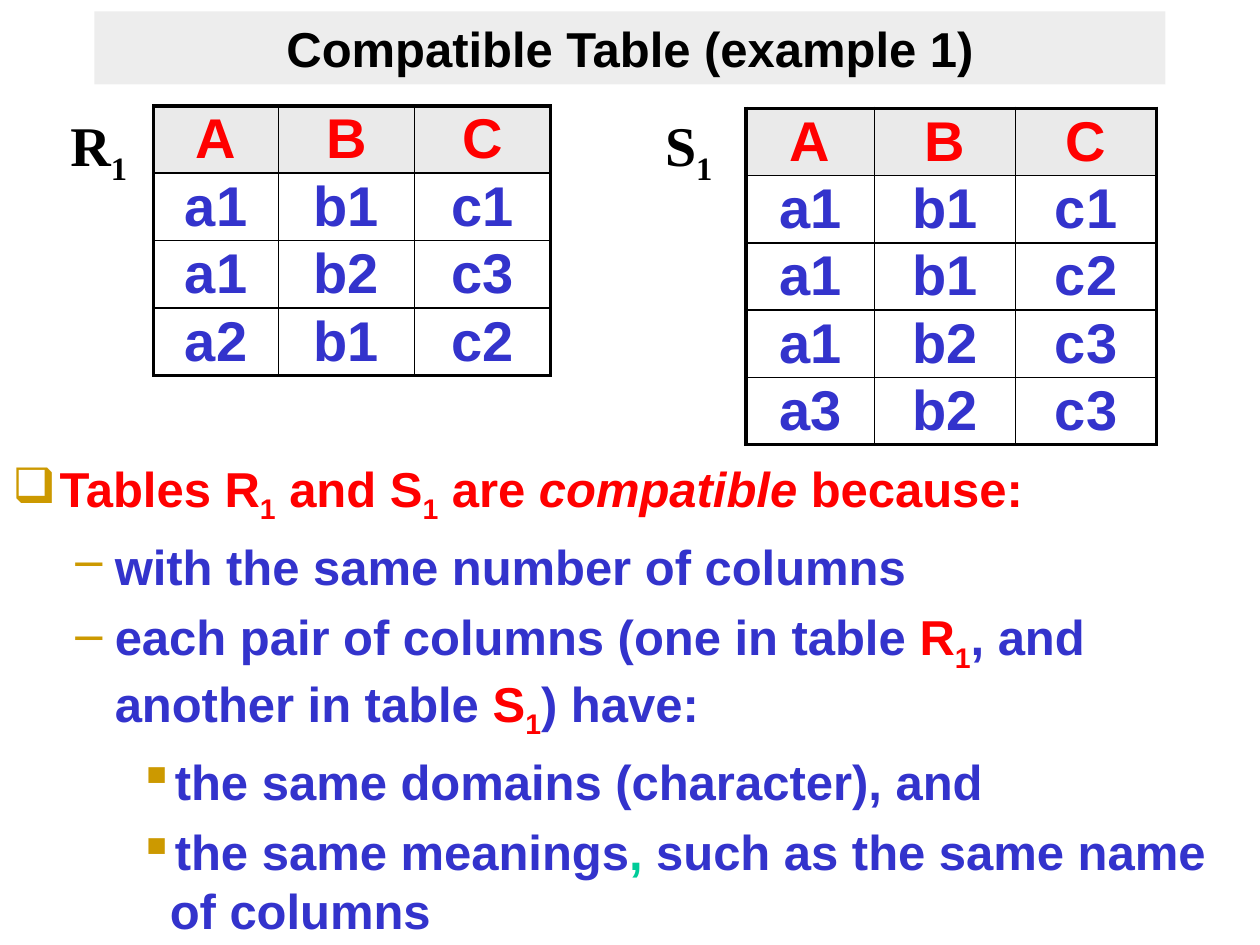
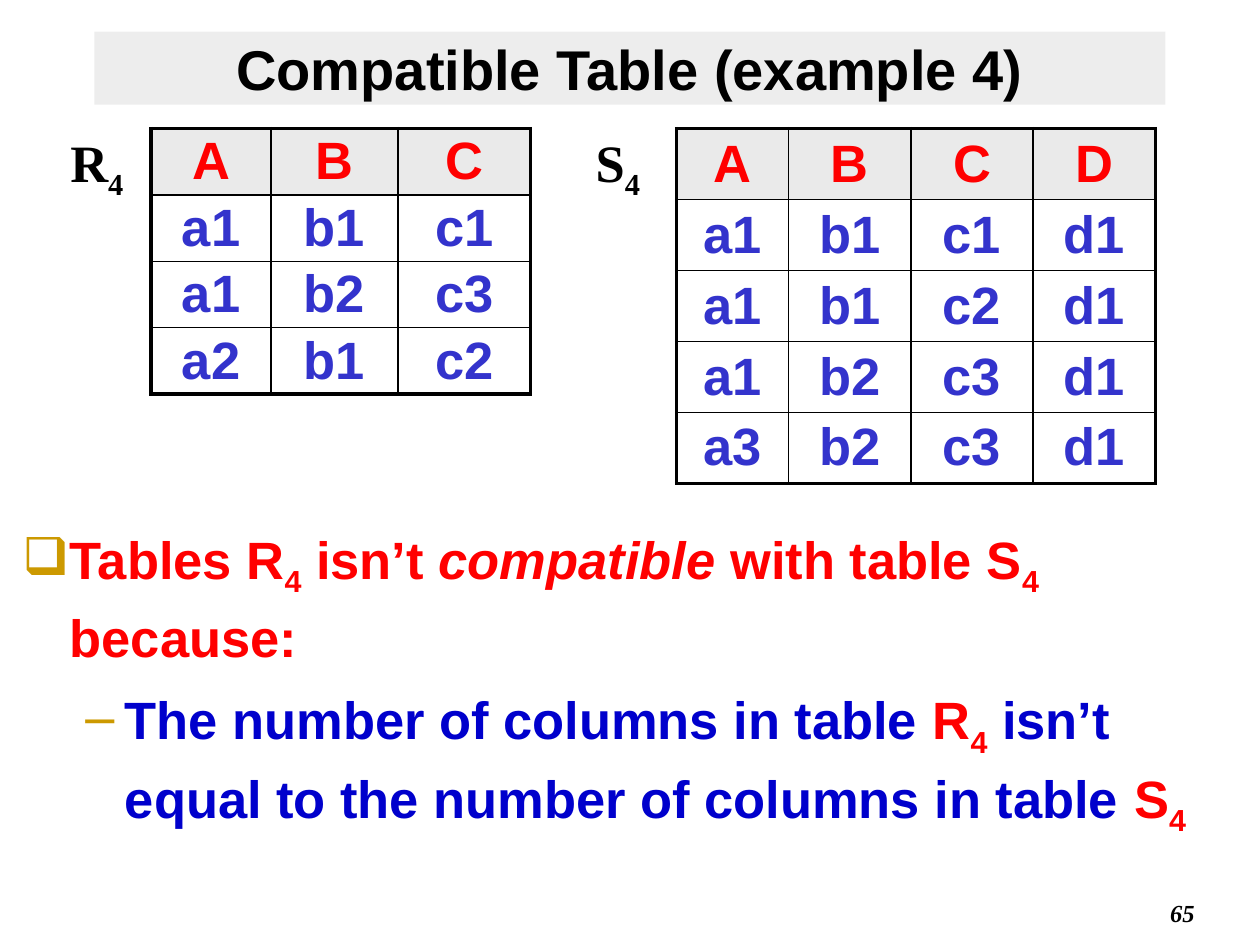
import pptx
import pptx.dml.color
import pptx.enum.shapes
import pptx.enum.text
import pptx.oxml.ns
import pptx.util
from lxml import etree

RGBColor = pptx.dml.color.RGBColor
ALIGN = pptx.enum.text.PP_ALIGN
ANCHOR = pptx.enum.text.MSO_ANCHOR
qn = pptx.oxml.ns.qn

BLACK = RGBColor(0x00, 0x00, 0x00)
WHITE = RGBColor(0xFF, 0xFF, 0xFF)
RED = RGBColor(0xFF, 0x00, 0x00)
BLUE = RGBColor(0x33, 0x33, 0xCC)
DEEP_BLUE = RGBColor(0x00, 0x00, 0xCC)
GREEN = RGBColor(0x00, 0xCC, 0x99)
GOLD = RGBColor(0xCC, 0x99, 0x00)
BAND_GREY = RGBColor(0xDD, 0xDD, 0xDD)
HEADER_GREY = RGBColor(0xEA, 0xEA, 0xEA)

SANS = "Arial"
SERIF = "Times New Roman"

# The page is a grid of 100 columns by 75 rows.
COLUMNS, ROWS = 100, 75
WIDTH, HEIGHT = pptx.util.Inches(10), pptx.util.Inches(7.5)

# Bullet, left margin and hanging indent (in columns) of each outline level.
LEVELS = [("❑", 3.75, 3.75), ("–", 8.13, 3.13), ("▪", 12.5, 2.5)]
SPACE_BEFORE = 0.23
OUTER_LINE, INNER_LINE = 2.25, 1


def x(columns):
    return round(WIDTH * columns / COLUMNS)


def y(rows):
    return round(HEIGHT * rows / ROWS)


def add_xml(parent, tag, **attributes):
    child = etree.SubElement(parent, qn(tag))
    for name, value in attributes.items():
        child.set(name, str(value))
    return child


def write(para, text, size=28, color=BLACK, font=SANS, italic=False, subscript=False):
    """Append one formatted span to a paragraph."""
    span = para.add_run()
    span.text = text
    span.font.size = pptx.util.Pt(size)
    span.font.name = font
    span.font.bold = True
    span.font.italic = italic
    span.font.color.rgb = color
    if subscript:
        span.font._element.set("baseline", "-25000")


def relation(letter, number):
    """Spans of a table's name in red, with its number lowered."""
    return [(letter, {"color": RED}), (number, {"color": RED, "subscript": True})]


def set_bullet(para, level):
    character, margin, hanging = LEVELS[level]
    para.level = level
    properties = para._p.get_or_add_pPr()
    properties.set("marL", str(x(margin)))
    properties.set("indent", str(-x(hanging)))
    add_xml(add_xml(properties, "a:buClr"), "a:srgbClr", val=GOLD)
    add_xml(properties, "a:buChar", char=character)


def set_border(cell, side, width):
    line = add_xml(cell._tc.get_or_add_tcPr(), f"a:ln{side}", w=pptx.util.Pt(width))
    add_xml(add_xml(line, "a:solidFill"), "a:srgbClr", val=BLACK)


class Lesson:
    def __init__(self):
        self.deck = pptx.Presentation()
        self.deck.slide_width, self.deck.slide_height = WIDTH, HEIGHT
        self.page = None

    def new_page(self):
        self.page = self.deck.slides.add_slide(self.deck.slide_layouts[6])

    def rectangle(self, left, top, width, height, color, opacity=100):
        box = self.page.shapes.add_shape(
            pptx.enum.shapes.MSO_SHAPE.RECTANGLE, x(left), y(top), x(width), y(height))
        box.shadow.inherit = False
        box.line.fill.background()
        box.fill.solid()
        box.fill.fore_color.rgb = color
        if opacity < 100:
            tint = box._element.spPr.find(qn("a:solidFill"))[0]
            add_xml(tint, "a:alpha", val=opacity * 1000)
        box.text_frame.word_wrap = True
        return box

    def text_box(self, left, top, width, height):
        box = self.page.shapes.add_textbox(x(left), y(top), x(width), y(height))
        box.text_frame.word_wrap = True
        return box

    def title(self, text, top, size):
        frame = self.rectangle(7.5, top, 85, 5.8, BAND_GREY, opacity=50).text_frame
        frame.vertical_anchor = ANCHOR.MIDDLE
        para = frame.paragraphs[0]
        para.alignment = ALIGN.CENTER
        write(para, text, size)

    def outline(self, box, items, size, color, line_spacing=None):
        """Fill a box with (level, spans) items; color is that of the lower levels."""
        frame = box.text_frame
        frame.vertical_anchor = ANCHOR.TOP
        for index, (level, spans) in enumerate(items):
            para = frame.add_paragraph() if index else frame.paragraphs[0]
            set_bullet(para, level)
            para.alignment = ALIGN.LEFT
            para.space_before = pptx.util.Pt(SPACE_BEFORE * size if index else 0)
            if line_spacing:
                para.line_spacing = line_spacing
            for text, look in spans:
                write(para, text, size, **{"color": color if level else RED, **look})

    def table_name(self, letter, number, left, top, size):
        frame = self.text_box(left, top, 8.3, size / 6).text_frame
        frame.margin_top = frame.margin_bottom = 0
        para = frame.paragraphs[0]
        write(para, letter, size, font=SERIF)
        write(para, number, size, font=SERIF, subscript=True)

    def data_table(self, left, top, widths, row_height, lines, size):
        """Draw a table from one string per row, the header first."""
        records = [line.split() for line in lines]
        last_row, last_column = len(records) - 1, len(widths) - 1
        table = self.page.shapes.add_table(
            len(records), len(widths), x(left), y(top),
            x(sum(widths)), y(row_height * len(records))).table
        table.horz_banding = False
        for column, width in zip(table.columns, widths):
            column.width = x(width)
        for r, record in enumerate(records):
            table.rows[r].height = y(row_height)
            for c, value in enumerate(record):
                cell = table.cell(r, c)
                edges = {"L": c == 0, "R": c == last_column,
                         "T": r == 0, "B": r == last_row}
                for side, outer in edges.items():
                    set_border(cell, side, OUTER_LINE if outer else INNER_LINE)
                cell.fill.solid()
                cell.fill.fore_color.rgb = WHITE if r else HEADER_GREY
                cell.margin_top = cell.margin_bottom = 0
                cell.vertical_anchor = ANCHOR.MIDDLE
                para = cell.text_frame.paragraphs[0]
                para.alignment = ALIGN.CENTER
                write(para, value, size, BLUE if r else RED)

    def page_number(self, number):
        para = self.text_box(75, 70.8, 20.8, 3.3).text_frame.paragraphs[0]
        para.alignment = ALIGN.RIGHT
        write(para, number, 14, font=SERIF, italic=True)


R_LINES = ["A B C", "a1 b1 c1", "a1 b2 c3", "a2 b1 c2"]
S_LINES = ["A B C", "a1 b1 c1", "a1 b1 c2", "a1 b2 c3", "a3 b2 c3"]


def compatible_page(lesson):
    lesson.new_page()
    lesson.title("Compatible Table (example 1)", top=0.9, size=28)
    r1, s1 = relation("R", "1"), relation("S", "1")
    lesson.outline(lesson.rectangle(0, 35.9, 100, 38, WHITE), [
        (0, [("Tables ", {}), *r1, (" and ", {}), *s1, (" are ", {}),
             ("compatible", {"italic": True}), (" because:", {})]),
        (1, [("with the same number of columns", {})]),
        (1, [("each pair of columns (one in table ", {}), *r1,
             (", and another in table ", {}), *s1, (") have:", {})]),
        (2, [("the same domains (character), and", {})]),
        (2, [("the same meanings", {}), (", ", {"color": GREEN}),
             ("such as the same name of columns", {})]),
    ], size=28, color=BLUE)
    lesson.data_table(12.2, 8.4, [9.9, 10.8, 10.8], 5.35, R_LINES, size=32)
    lesson.table_name("R", "1", 4.6, 8.8, size=32)
    lesson.data_table(59.2, 8.6, [10.2, 11.2, 11.2], 5.34, S_LINES, size=32)
    lesson.table_name("S", "1", 51.8, 8.8, size=32)


def incompatible_page(lesson):
    lesson.new_page()
    lesson.page_number("65")
    lesson.title("Compatible Table (example 4)", top=2.5, size=32)
    r4, s4 = relation("R", "4"), relation("S", "4")
    lesson.outline(lesson.text_box(0.8, 40.8, 96.4, 30), [
        (0, [("Tables ", {}), *r4, (" isn’t ", {}), ("compatible", {"italic": True}),
             (" with table ", {}), *s4, (" because:", {})]),
        (1, [("The number of columns in table ", {}), *r4,
             (" isn’t equal to the number of columns in table ", {}), *s4]),
    ], size=30, color=DEEP_BLUE, line_spacing=1.1)
    lesson.data_table(12, 10.2, [9.5, 10.1, 10.5], 5.27, R_LINES, size=30)
    lesson.table_name("R", "4", 4.6, 10.3, size=30)
    header, *records = S_LINES
    wide_lines = [header + " D"] + [record + " d1" for record in records]
    lesson.data_table(53.7, 10.2, [8.9, 9.7, 9.7, 9.7], 5.63, wide_lines, size=30)
    lesson.table_name("S", "4", 46.3, 10.3, size=30)


def main():
    lesson = Lesson()
    compatible_page(lesson)
    incompatible_page(lesson)
    lesson.deck.save("out.pptx")


if __name__ == "__main__":
    main()
